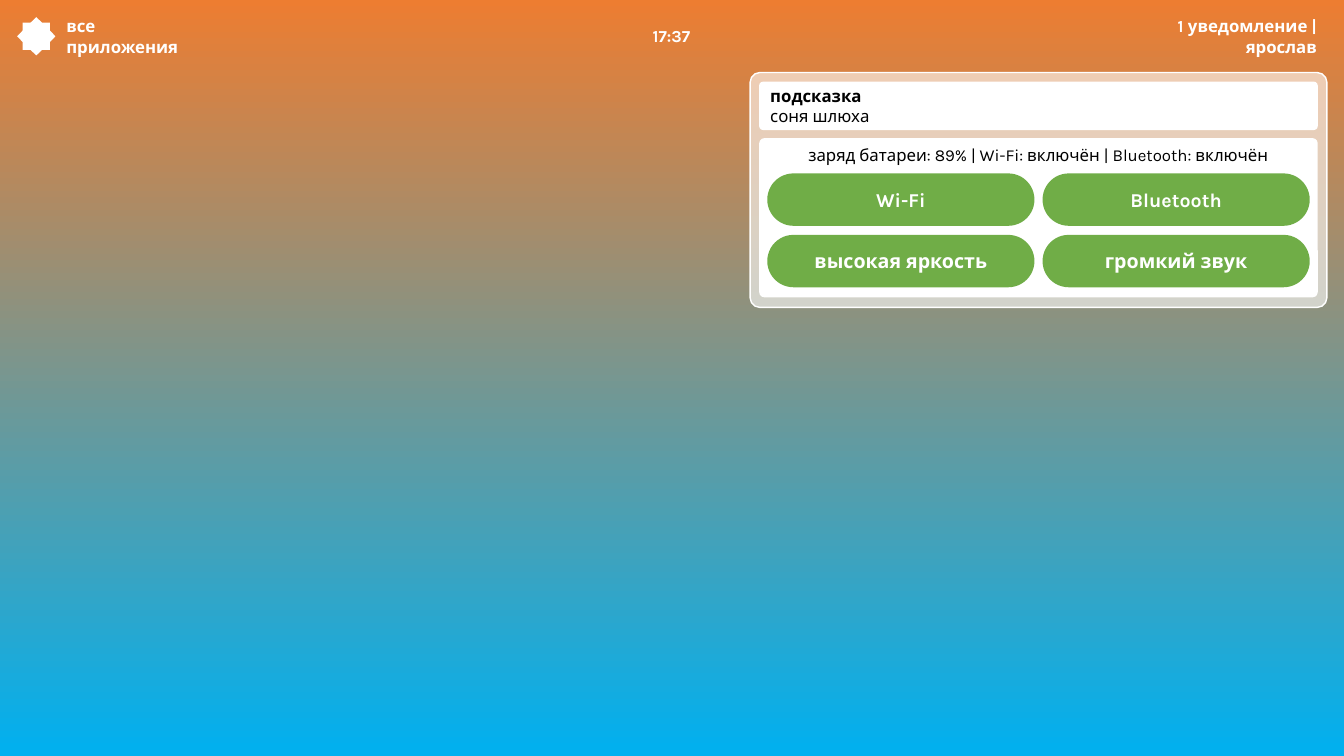
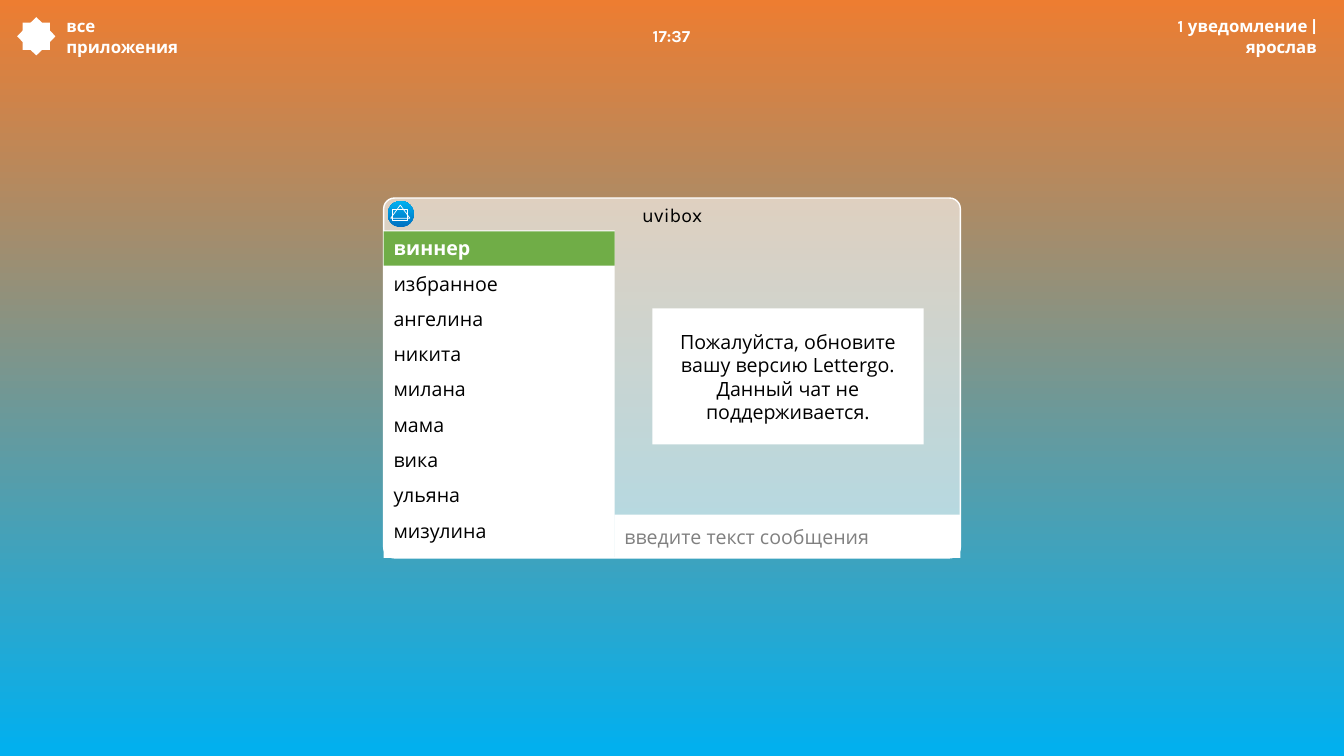
"""Build two desktop screens: a notification panel and a chat window."""
from lxml import etree
from pptx import Presentation
from pptx import util as u
from pptx.dml.color import RGBColor
from pptx.enum import shapes, text
from pptx.oxml.ns import qn

SLIDE_W, SLIDE_H = 13.33, 7.5
WHITE, BLACK, GREY, GREEN = "FFFFFF", "000000", "808080", "70AD47"
SKY = ("ED7D31", "00B0F0")
ICON_BLUE = ("0070C0", "00B0F0")
HEAD_FONT, CHAT_FONT = "Karla", "Open Sans"
LEFT, CENTER, RIGHT = text.PP_ALIGN.LEFT, text.PP_ALIGN.CENTER, text.PP_ALIGN.RIGHT
TOP, MIDDLE = text.MSO_ANCHOR.TOP, text.MSO_ANCHOR.MIDDLE
KIND = shapes.MSO_SHAPE

STATUS = [
    ("все приложения", 0.56, 1.57, LEFT),
    ("17:37", 6.33, 0.66, CENTER),
    ("1 уведомление | ярослав", 10.88, 2.28, RIGHT),
]
NOTICE = [("подсказка", True), ("соня шлюха", False)]
STATE = "заряд батареи: 89% | Wi-Fi: включён | Bluetooth: включён"
BUTTONS = [["Wi-Fi", "Bluetooth"], ["высокая яркость", "громкий звук"]]
CHATS = ["виннер", "избранное", "ангелина", "никита", "милана",
         "мама", "вика", "ульяна", "мизулина"]
CHAT_TITLE = "uvibox"
CHAT_NOTE = ("Пожалуйста, обновите вашу версию Lettergo. "
             "Данный чат не поддерживается.")
PROMPT = "введите текст сообщения"


def rgb(value):
    return RGBColor.from_string(value)


def gradient(fill, colors, angle):
    fill.gradient()
    fill.gradient_angle = angle
    for stop, position, color in zip(fill.gradient_stops, (0, 1), colors):
        stop.position = position
        stop.color.rgb = rgb(color)


def write(sp, lines, size=14, font=CHAT_FONT, color=BLACK, bold=False,
          align=LEFT, anchor=TOP):
    """Fill a shape with one string or a list of (string, bold) lines."""
    tf = sp.text_frame
    tf.word_wrap = True
    tf.vertical_anchor = anchor
    if isinstance(lines, str):
        lines = [(lines, bold)]
    for i, (words, heavy) in enumerate(lines):
        p = tf.add_paragraph() if i else tf.paragraphs[0]
        p.alignment = align
        r = p.add_run()
        r.text = words
        r.font.size, r.font.name, r.font.bold = u.Pt(size), font, heavy
        r.font.color.rgb = rgb(color)


def label(s, box, words, **style):
    write(s.shapes.add_textbox(*map(u.Inches, box)), words, **style)


def shape(s, kind, box, fill=None, line=None, adj=None, alpha=None):
    sp = s.shapes.add_shape(kind, *map(u.Inches, box))
    sp.shadow.inherit = False
    if fill:
        sp.fill.solid()
        sp.fill.fore_color.rgb = rgb(fill)
    else:
        sp.fill.background()
    if alpha:
        color = sp.fill._xPr.find(".//" + qn("a:srgbClr"))
        etree.SubElement(color, qn("a:alpha"), val=str(alpha * 1000))
    if line:
        sp.line.color.rgb = rgb(WHITE)
        sp.line.width = u.Pt(line)
    else:
        sp.line.fill.background()
    if adj is not None:
        sp.adjustments[0] = adj
    return sp


def glass(s, box, adj):
    shape(s, KIND.ROUNDED_RECTANGLE, box, WHITE, line=1, adj=adj, alpha=60)


def desktop(prs):
    """Add a slide with the sky background and the status bar."""
    s = prs.slides.add_slide(prs.slide_layouts[6])
    gradient(s.background.fill, SKY, 270)
    shape(s, KIND.STAR_8_POINT, (0.17, 0.17, 0.38, 0.38), WHITE, adj=0.386)
    for words, left, width, align in STATUS:
        label(s, (left, 0.21, width, 0.3), words, size=12, font=HEAD_FONT,
              color=WHITE, bold=True, align=align, anchor=MIDDLE)
    return s


def notifications(prs):
    s = desktop(prs)
    left, top, width, height = 7.44, 0.72, 5.72, 2.33
    pad = 0.09
    inner = width - 2 * pad
    glass(s, (left, top, width, height), 0.041)

    state = shape(s, KIND.ROUNDED_RECTANGLE,
                  (left + pad, top + 0.65, inner, 1.58), WHITE, adj=0.033)
    write(state, STATE, size=12, font=HEAD_FONT, align=CENTER)
    notice = shape(s, KIND.ROUNDED_RECTANGLE,
                   (left + pad, top + pad, inner, 0.48), WHITE, adj=0.08)
    write(notice, NOTICE, size=12, font=HEAD_FONT, anchor=MIDDLE)

    button_w, button_h, gap_x, gap_y = 2.65, 0.52, 0.08, 0.09
    for row, names in enumerate(BUTTONS):
        for col, name in enumerate(names):
            box = (left + 0.17 + col * (button_w + gap_x),
                   top + 1 + row * (button_h + gap_y), button_w, button_h)
            button = shape(s, KIND.ROUNDED_RECTANGLE, box, GREEN, adj=0.5)
            write(button, name, font=HEAD_FONT, color=WHITE, bold=True,
                  align=CENTER, anchor=MIDDLE)


def chat(prs):
    s = desktop(prs)
    width, height = 5.72, 3.57
    left, top = (SLIDE_W - width) / 2, (SLIDE_H - height) / 2
    list_w, row_h, row_step, input_h = 2.29, 0.34, 0.35, 0.43
    glass(s, (left, top, width, height), 0.03)

    icon = shape(s, KIND.OVAL, (left + 0.04, top + 0.03, 0.26, 0.26))
    gradient(icon.fill, ICON_BLUE, 90)
    shape(s, KIND.RECTANGLE, (left + 0.09, top + 0.11, 0.15, 0.11), line=0.5)
    shape(s, KIND.ISOSCELES_TRIANGLE,
          (left + 0.07, top + 0.07, 0.19, 0.13), line=0.5)
    label(s, (6.27, top, 0.8, row_h), CHAT_TITLE, font=HEAD_FONT)

    prompt = shape(s, KIND.RECTANGLE, (left + list_w, top + height - input_h,
                                       width - list_w, input_h), WHITE)
    write(prompt, PROMPT, color=GREY, anchor=MIDDLE)

    shape(s, KIND.RECTANGLE, (left, top + 0.32, list_w, height - 0.32), WHITE)
    for row, name in enumerate(CHATS):
        box = (left, top + 0.33 + row * row_step, list_w, row_h)
        if row == 0:
            write(shape(s, KIND.RECTANGLE, box, GREEN), name,
                  color=WHITE, bold=True)
        else:
            label(s, box, name)

    note = shape(s, KIND.RECTANGLE, (6.47, 3.06, 2.69, 1.35), WHITE)
    write(note, CHAT_NOTE, align=CENTER, anchor=MIDDLE)


prs = Presentation()
prs.slide_width, prs.slide_height = u.Inches(SLIDE_W), u.Inches(SLIDE_H)
notifications(prs)
chat(prs)
prs.save("out.pptx")
